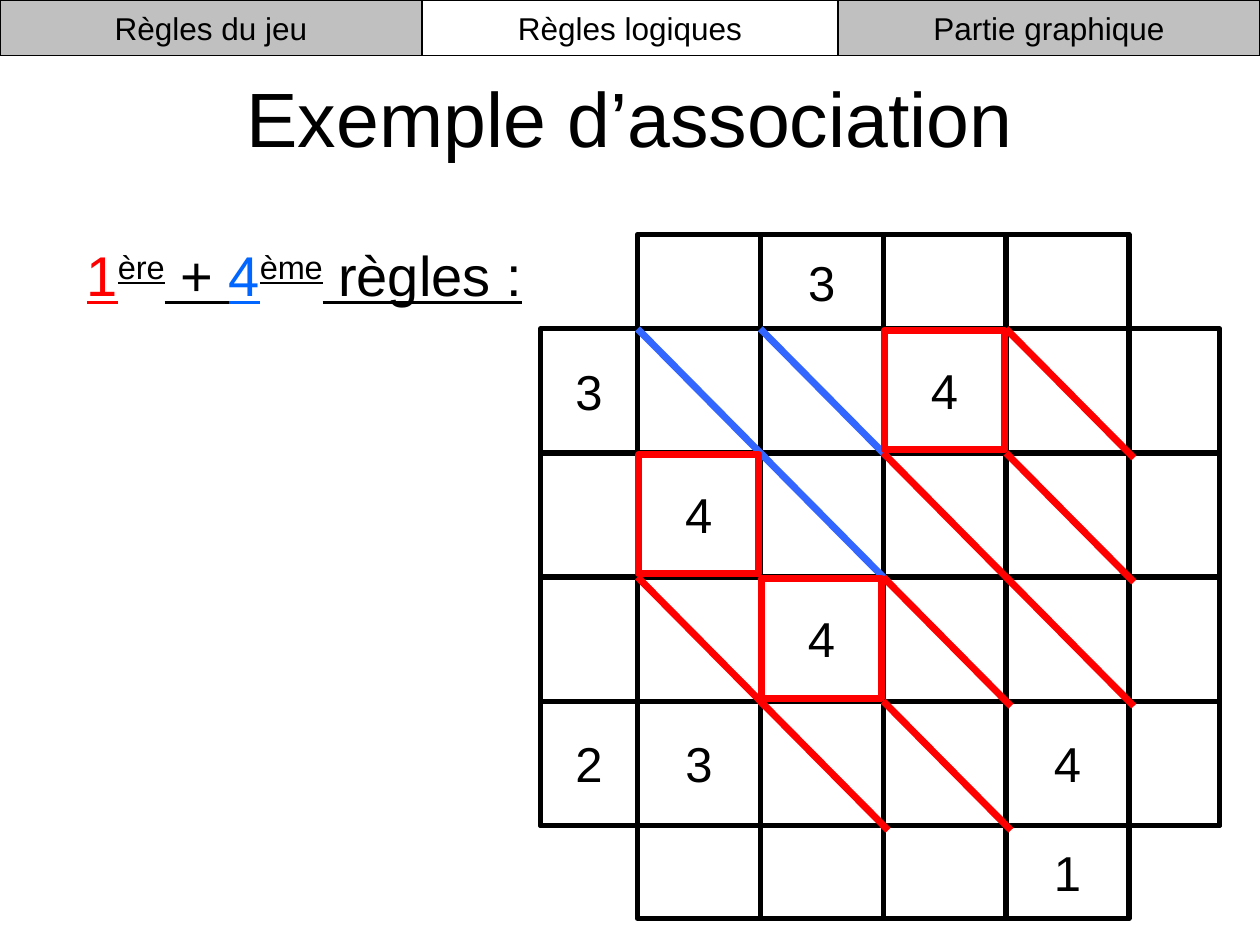
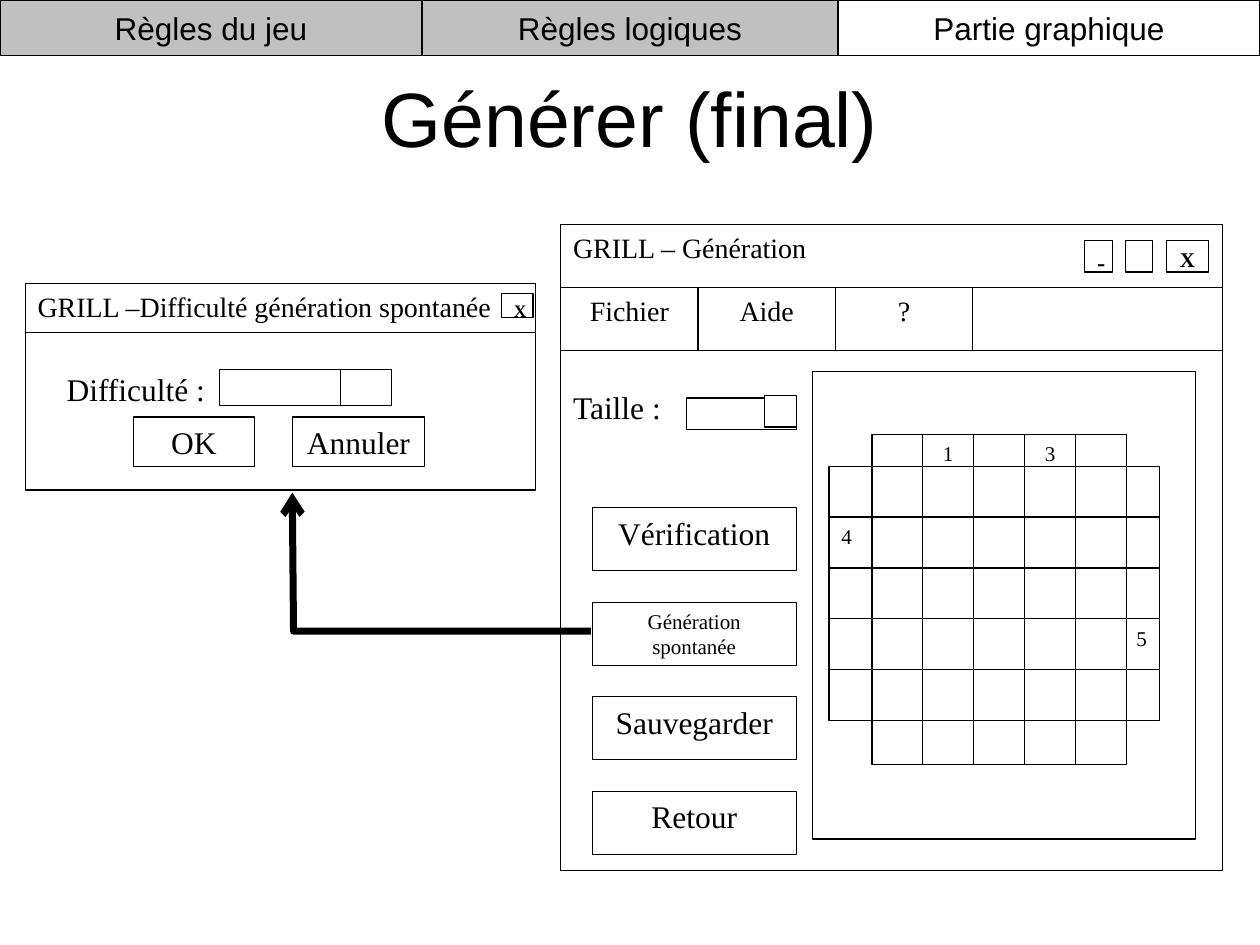
"""Build two slides: a puzzle rule example and a sketch of the generation window."""
from dataclasses import dataclass
from itertools import accumulate

from lxml.etree import SubElement
from pptx import Presentation
from pptx.dml.color import RGBColor
from pptx.enum.shapes import MSO_CONNECTOR, MSO_SHAPE
from pptx.enum.text import MSO_ANCHOR, MSO_AUTO_SIZE, PP_ALIGN
from pptx.oxml.ns import qn
from pptx.util import Inches, Pt

prs = Presentation()
prs.slide_width, prs.slide_height = Inches(10), Inches(7.5)
COL, ROW = prs.slide_width / 10, prs.slide_height / 7.5

BLACK, WHITE, GREY = "000000", "FFFFFF", "C0C0C0"
RED, BLUE, LINK_BLUE = "FF0000", "3366FF", "0066FF"
SANS, SERIF = "Arial", "Times New Roman"
LEFT, CENTER, RIGHT = PP_ALIGN.LEFT, PP_ALIGN.CENTER, PP_ALIGN.RIGHT
TABS = (("Règles logiques", 0, 10), ("Règles du jeu", 0, 3.35), ("Partie graphique", 6.65, 3.35))


@dataclass
class Box:
    """A rectangle in slide columns and rows, with optional text, fill and outline."""
    x: float
    y: float
    w: float
    h: float
    text: str = ""
    size: float = 18
    align: PP_ALIGN = CENTER
    anchor: MSO_ANCHOR = MSO_ANCHOR.TOP
    fill: str | None = WHITE
    line: str | None = BLACK
    weight: float = 0.75
    font: str = SERIF
    bold: bool = False


@dataclass
class Board:
    """A puzzle board: n by n cells with a narrow rim on each side."""
    n: int
    x: float
    y: float
    w: float
    h: float
    rims: tuple[float, float, float, float]
    weight: float

    @property
    def xs(self) -> list[float]:
        """Return the column edges, rims included."""
        return list(accumulate([self.x - self.rims[0], self.rims[0], *[self.w / self.n] * self.n, self.rims[2]]))

    @property
    def ys(self) -> list[float]:
        """Return the row edges, rims included."""
        return list(accumulate([self.y - self.rims[1], self.rims[1], *[self.h / self.n] * self.n, self.rims[3]]))

    def area(self, c1: int, r1: int, c2: int, r2: int) -> tuple[float, float, float, float]:
        """Return place and size of the area between two corners of the board."""
        xs, ys = self.xs, self.ys
        return xs[c1], ys[r1], xs[c2] - xs[c1], ys[r2] - ys[r1]


def rgb(color: str) -> RGBColor:
    """Turn a hex string into a colour."""
    return RGBColor.from_string(color)


def place(x: float, y: float, w: float, h: float) -> tuple[int, int, int, int]:
    """Turn columns and rows into slide lengths."""
    return round(x * COL), round(y * ROW), round(w * COL), round(h * ROW)


def style_run(r, size: float, font: str, color: str = BLACK, bold: bool = False) -> None:
    """Format one run."""
    r.font.size, r.font.name, r.font.bold = Pt(size), font, bold
    r.font.color.rgb = rgb(color)


def style_line(sp, color: str, weight: float) -> None:
    """Set the colour and width of an outline."""
    sp.line.color.rgb, sp.line.width = rgb(color), Pt(weight)


def draw_box(s, box: Box) -> None:
    """Draw a rectangle, or a text box when it has neither fill nor outline."""
    at = place(box.x, box.y, box.w, box.h)
    if box.fill or box.line:
        sp = s.shapes.add_shape(MSO_SHAPE.RECTANGLE, *at)
        sp.shadow.inherit = False
    else:
        sp = s.shapes.add_textbox(*at)
    if box.fill:
        sp.fill.solid()
        sp.fill.fore_color.rgb = rgb(box.fill)
    else:
        sp.fill.background()
    if box.line:
        style_line(sp, box.line, box.weight)
    if box.text:
        tf = sp.text_frame
        tf.word_wrap, tf.vertical_anchor = True, box.anchor
        tf.text = box.text
        p = tf.paragraphs[0]
        p.alignment = box.align
        style_run(p.runs[0], box.size, box.font, bold=box.bold)


def draw_board(s, board: Board, col_texts: dict[int, str], row_texts: dict[int, tuple[str, PP_ALIGN]]) -> None:
    """Outline the tall and wide halves of the board, then every second column and row."""
    n = board.n
    look = {"fill": None, "weight": board.weight, "size": 12}
    draw_box(s, Box(*board.area(1, 0, n + 1, n + 2), **look))
    for c in range(2, n + 1, 2):
        draw_box(s, Box(*board.area(c, 0, c + 1, n + 2), col_texts.get(c, ""), **look))
    draw_box(s, Box(*board.area(0, 1, n + 2, n + 1), **look))
    for r in range(2, n + 1, 2):
        text, align = row_texts.get(r, ("", LEFT))
        draw_box(s, Box(*board.area(0, r, n + 2, r + 1), text, align=align, **look))


def draw_diagonal(s, board: Board, c: int, r: int, color: str) -> None:
    """Draw a diagonal that runs slightly past the far corner of a cell."""
    x, y, w, h = place(*board.area(c, r, c + 1, r + 1))
    line = s.shapes.add_connector(MSO_CONNECTOR.STRAIGHT, x, y, round(x + 1.04 * w), round(y + 1.04 * h))
    style_line(line, color, 4)
    SubElement(line._element.spPr, qn("a:effectLst"))


def draw_arrow(s, points: list[tuple[float, float]]) -> None:
    """Draw an open path that ends in an arrowhead."""
    (x, y), *rest = [place(*point, 0, 0)[:2] for point in points]
    builder = s.shapes.build_freeform(x, y)
    builder.add_line_segments(rest, close=False)
    sp = builder.convert_to_shape()
    sp.shadow.inherit = False
    sp.fill.background()
    style_line(sp, BLACK, 4)
    SubElement(sp.line._get_or_add_ln(), qn("a:tailEnd"), type="arrow")


def add_slide(title: str):
    """Add a slide with its centred title."""
    s = prs.slides.add_slide(prs.slide_layouts[5])
    sp = s.shapes.title
    sp.left, sp.top, sp.width, sp.height = place(0.5, 0.3, 9, 1.25)
    tf = sp.text_frame
    tf.text = title
    tf.vertical_anchor, tf.auto_size = MSO_ANCHOR.MIDDLE, MSO_AUTO_SIZE.NONE
    p = tf.paragraphs[0]
    p.alignment = CENTER
    style_run(p.runs[0], 44, SANS)
    return s


def draw_tabs(s, active: str) -> None:
    """Draw the band of tabs with the active one in white."""
    for text, x, w in TABS:
        fill = WHITE if text == active else GREY
        draw_box(s, Box(x, 0, w, 0.44, text, fill=fill, font=SANS, anchor=MSO_ANCHOR.MIDDLE))


def draw_heading(s) -> None:
    """Write the underlined heading with its superscripts."""
    tf = s.shapes.add_textbox(*place(0.59, 1.86, 4.02, 0.64)).text_frame
    tf.word_wrap = True
    p = tf.paragraphs[0]
    for text, color, raised in (("1", RED, False), ("ère", BLACK, True), (" + ", BLACK, False),
                                ("4", LINK_BLUE, False), ("ème", BLACK, True), (" règles :", BLACK, False)):
        r = p.add_run()
        r.text = text
        style_run(r, 32, SANS, color)
        r.font.underline = True
        if raised:
            r._r.get_or_add_rPr().set("baseline", "30000")


def build_association() -> None:
    """Build the slide that combines two rules on a board."""
    s = add_slide("Exemple d’association")
    board = Board(4, 5.06, 2.61, 3.9, 3.94, (0.77, 0.75, 0.72, 0.74), 3)
    draw_board(s, board, {}, {})
    draw_heading(s)
    digit = {"size": 28, "font": SANS, "anchor": MSO_ANCHOR.MIDDLE, "fill": None}
    for c, r, text in ((2, 0, "3"), (0, 1, "3"), (4, 5, "1"), (0, 4, "2"), (4, 4, "4"), (1, 4, "3")):
        draw_box(s, Box(*board.area(c, r, c + 1, r + 1), text, line=None, **digit))
    for c, r in ((1, 1), (2, 1), (2, 2)):
        draw_diagonal(s, board, c, r, BLUE)
    for c, r in ((4, 1), (4, 2), (4, 3), (3, 4), (2, 4), (1, 3), (3, 3), (3, 2)):
        draw_diagonal(s, board, c, r, RED)
    for c, r in ((3, 1), (1, 2), (2, 3)):
        x, y, _, _ = board.area(c, r, c + 1, r + 1)
        draw_box(s, Box(x + 0.01, y + 0.01, 0.95, 0.95, "4", line=RED, weight=4, **digit))
    draw_tabs(s, "Règles logiques")


def draw_main_window(s) -> None:
    """Draw the generation window with its menu, buttons and board."""
    x, y, w, bar = 4.45, 1.78, 5.25, 0.5
    draw_box(s, Box(6.45, 2.95, 3.04, 3.71))
    board = Board(5, 6.92, 3.7, 2.02, 2.02, (0.34, 0.25, 0.26, 0.35), 0.75)
    draw_board(s, board, {2: "1", 4: "3"}, {2: ("4", LEFT), 4: ("5", RIGHT)})
    draw_box(s, Box(x, y, w, 5.13, fill=None))
    draw_box(s, Box(x, y, w, bar, "GRILL – Génération", 16, LEFT))
    item = 1.09
    for i, text in enumerate(("Fichier", "Aide", "?")):
        draw_box(s, Box(x + i * item, y + bar, item, bar, text, 16))
    draw_box(s, Box(x + 3 * item, y + bar, w - 3 * item, bar))
    for left, width, text, size in ((8.61, 0.22, "-", 14), (8.93, 0.22, "", 12), (9.26, 0.33, "X", 12)):
        draw_box(s, Box(left, 1.91, width, 0.25, text, size, bold=True))
    buttons = (("Vérification", 18), ("Génération spontanée", 12), ("Sauvegarder", 18), ("Retour", 18))
    for i, (text, size) in enumerate(buttons):
        draw_box(s, Box(4.7, 4.03 + 0.75 * i, 1.62, 0.5, text, size))
    draw_box(s, Box(x, 3.03, 1, 0.5, "Taille :", align=LEFT, fill=None, line=None))
    draw_box(s, Box(5.45, 3.16, 0.87, 0.25))
    draw_box(s, Box(6.07, 3.14, 0.25, 0.25))


def draw_dialog(s) -> None:
    """Draw the dialog that asks for the difficulty."""
    x, y, w, row = 0.2, 2.25, 4.05, 0.39
    draw_box(s, Box(x, y, w, row, "GRILL –Difficulté génération spontanée", 16, LEFT))
    draw_box(s, Box(x, y, w, 1.64, fill=None))
    draw_box(s, Box(0.43, 2.89, 1.35, row, "Difficulté :", align=LEFT, fill=None, line=None))
    draw_box(s, Box(1.74, 2.93, 1.35, 0.29))
    draw_box(s, Box(2.7, 2.93, 0.41, 0.29))
    draw_box(s, Box(1.06, 3.31, 0.96, row, "OK"))
    draw_box(s, Box(2.32, 3.31, 1.05, row, "Annuler"))
    draw_box(s, Box(3.98, 2.33, 0.25, 0.19, "X", 10, bold=True))


def build_generation() -> None:
    """Build the slide that shows the window and its dialog."""
    s = add_slide("Générer (final)")
    draw_main_window(s)
    draw_dialog(s)
    draw_arrow(s, [(4.69, 5.01), (2.33, 5.01), (2.32, 3.91)])
    draw_tabs(s, "Partie graphique")


def main() -> None:
    """Build and save both slides."""
    build_association()
    build_generation()
    prs.save("out.pptx")


if __name__ == "__main__":
    main()
